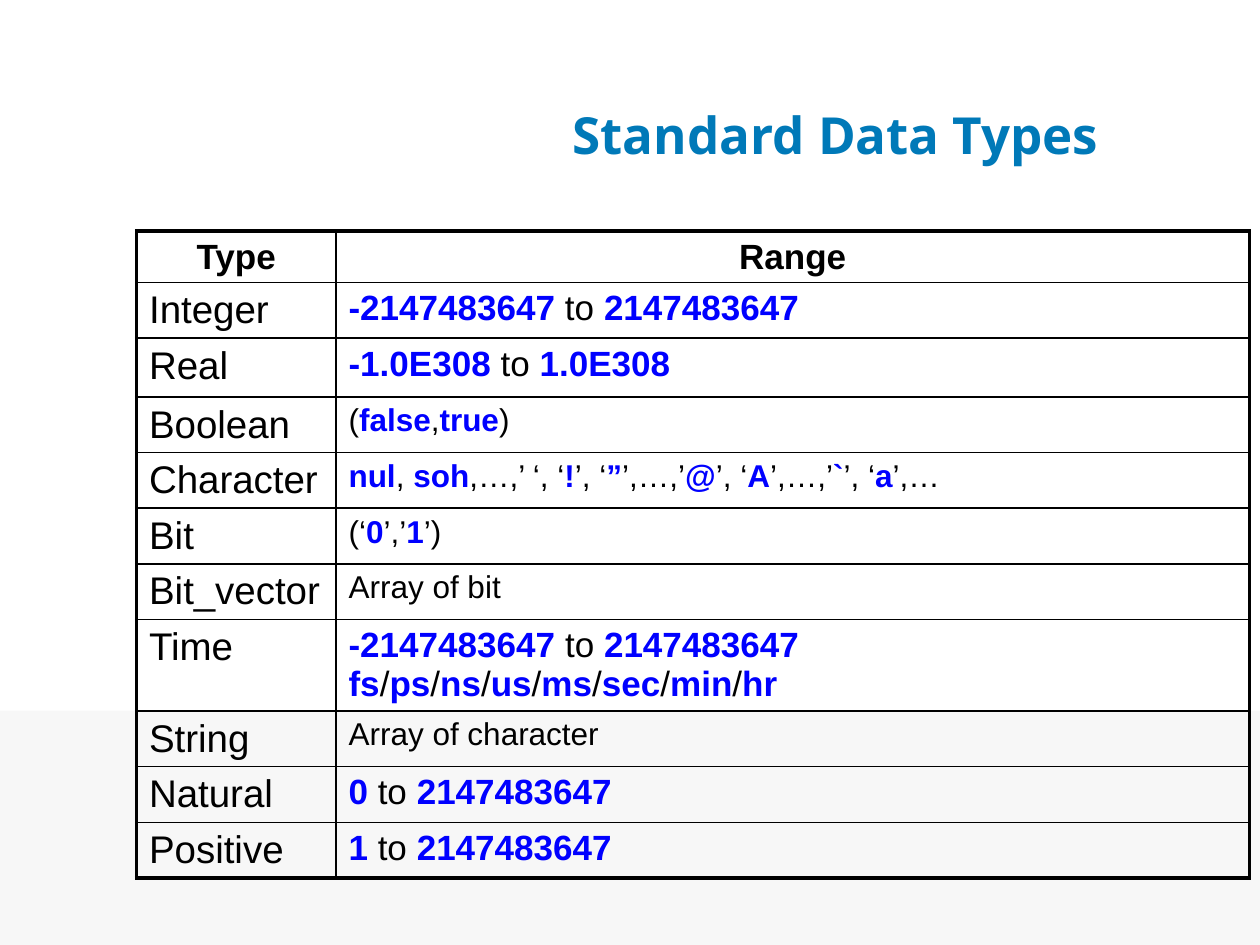
from dataclasses import dataclass

from lxml import etree
from pptx import Presentation
from pptx.dml.color import RGBColor
from pptx.enum.shapes import MSO_SHAPE
from pptx.enum.text import MSO_ANCHOR, PP_ALIGN
from pptx.oxml.ns import qn
from pptx.util import Pt

RECTANGLE = MSO_SHAPE.RECTANGLE
MIDDLE = MSO_ANCHOR.MIDDLE
CENTER = PP_ALIGN.CENTER
LEFT = PP_ALIGN.LEFT

BLACK, BLUE, TITLE_BLUE, PALE_GREY = "000000", "0000FF", "0079B8", "F7F7F7"
THIN, THICK = 1, 2.25
COLUMN_WIDTHS = (114, 522)
HEADER_HEIGHT = 29.4


@dataclass(frozen=True)
class DataType:
    name: str
    values: str
    size: float = 18
    height: float = 31.8
    right_margin: float = 18


DATA_TYPES = (
    DataType("Integer", "*-2147483647* to *2147483647*", 20),
    DataType("Real", "*-1.0E308 *to* 1.0E308*", 20, 33.7),
    DataType("Boolean", "(*false*,*true*)"),
    DataType("Character", "*nul*, *soh*,…,’ ‘, ‘*!*’, ‘*”*’,…,’*@*’, ‘*A*’,…,’*`*’, ‘*a*’,…"),
    DataType("Bit", "(‘*0*’,’*1*’)"),
    DataType("Bit_vector", "Array of bit"),
    DataType("Time", "*-2147483647 *to* 2147483647 fs*/*ps*/*ns*/*us*/*ms*/*sec*/*min*/*hr*", 20, 52.4),
    DataType("String", "Array of character"),
    DataType("Natural", "*0* to *2147483647*", 20),
    DataType("Positive", "*1* to *2147483647*", 20),
)


def color(value: str) -> RGBColor:
    return RGBColor.from_string(value)


def apply_format(target, values: dict) -> None:
    for name, value in values.items():
        setattr(target, name, value)


def add_span(para, text: str, size: float, shade: str, bold: bool, face: str = "Arial") -> None:
    span = para.add_run()
    span.text = text
    apply_format(span.font, {"size": Pt(size), "bold": bold, "name": face})
    span.font.color.rgb = color(shade)


def add_marked_text(para, text: str, size: float) -> None:
    for index, part in enumerate(text.split("*")):
        if part:
            marked = index % 2 == 1
            add_span(para, part, size, BLUE if marked else BLACK, marked)


def add_borders(cell, widths: dict[str, float]) -> None:
    properties = cell._tc.get_or_add_tcPr()
    for side, width in widths.items():
        line = etree.SubElement(properties, qn(f"a:ln{side}"), w=str(Pt(width)))
        fill = etree.SubElement(line, qn("a:solidFill"))
        etree.SubElement(fill, qn("a:srgbClr"), val=BLACK)


def add_type_table(page) -> None:
    heights = [HEADER_HEIGHT, *(item.height for item in DATA_TYPES)]
    last_row = len(heights) - 1
    frame = page.shapes.add_table(
        len(heights), len(COLUMN_WIDTHS), Pt(78), Pt(132), Pt(sum(COLUMN_WIDTHS)), Pt(sum(heights))
    )
    table = frame.table
    apply_format(table, {"first_row": False, "horz_banding": False})
    for column, width in zip(table.columns, COLUMN_WIDTHS):
        column.width = Pt(width)
    for row_index, (row, height) in enumerate(zip(table.rows, heights)):
        row.height = Pt(height)
        for column_index, cell in enumerate(row.cells):
            add_borders(cell, {
                "L": THIN if column_index else THICK,
                "R": THICK if column_index else THIN,
                "T": THIN if row_index else THICK,
                "B": THICK if row_index == last_row else THIN,
            })
            cell.fill.background()
            apply_format(cell, {
                "margin_left": Pt(7.2), "margin_right": Pt(7.2),
                "margin_top": Pt(3.6), "margin_bottom": Pt(2.8),
            })
            cell.text_frame.paragraphs[0].alignment = LEFT if row_index else CENTER
    for column_index, heading in enumerate(("Type", "Range")):
        add_span(table.cell(0, column_index).text_frame.paragraphs[0], heading, 20, BLACK, True)
    for row_index, item in enumerate(DATA_TYPES, start=1):
        name_cell, value_cell = table.rows[row_index].cells
        add_span(name_cell.text_frame.paragraphs[0], item.name, 22, BLACK, False)
        value_cell.margin_right = Pt(item.right_margin)
        add_marked_text(value_cell.text_frame.paragraphs[0], item.values, item.size)


def add_footer_band(page) -> None:
    band = page.shapes.add_shape(RECTANGLE, Pt(0), Pt(406), Pt(720), Pt(134))
    band.shadow.inherit = False
    band.fill.solid()
    band.fill.fore_color.rgb = color(PALE_GREY)
    band.line.fill.background()


def add_title(page) -> None:
    box = page.shapes.add_textbox(Pt(234), Pt(42), Pt(487), Pt(69))
    apply_format(box.text_frame, {"word_wrap": True, "vertical_anchor": MIDDLE})
    para = box.text_frame.paragraphs[0]
    para.alignment = CENTER
    add_span(para, "Standard Data Types", 29.2, TITLE_BLUE, True, "Open Sans")


def main() -> None:
    deck = Presentation()
    apply_format(deck, {"slide_width": Pt(720), "slide_height": Pt(540)})
    page = deck.slides.add_slide(deck.slide_layouts[6])
    add_footer_band(page)
    add_type_table(page)
    add_title(page)
    deck.save("out.pptx")


if __name__ == "__main__":
    main()
